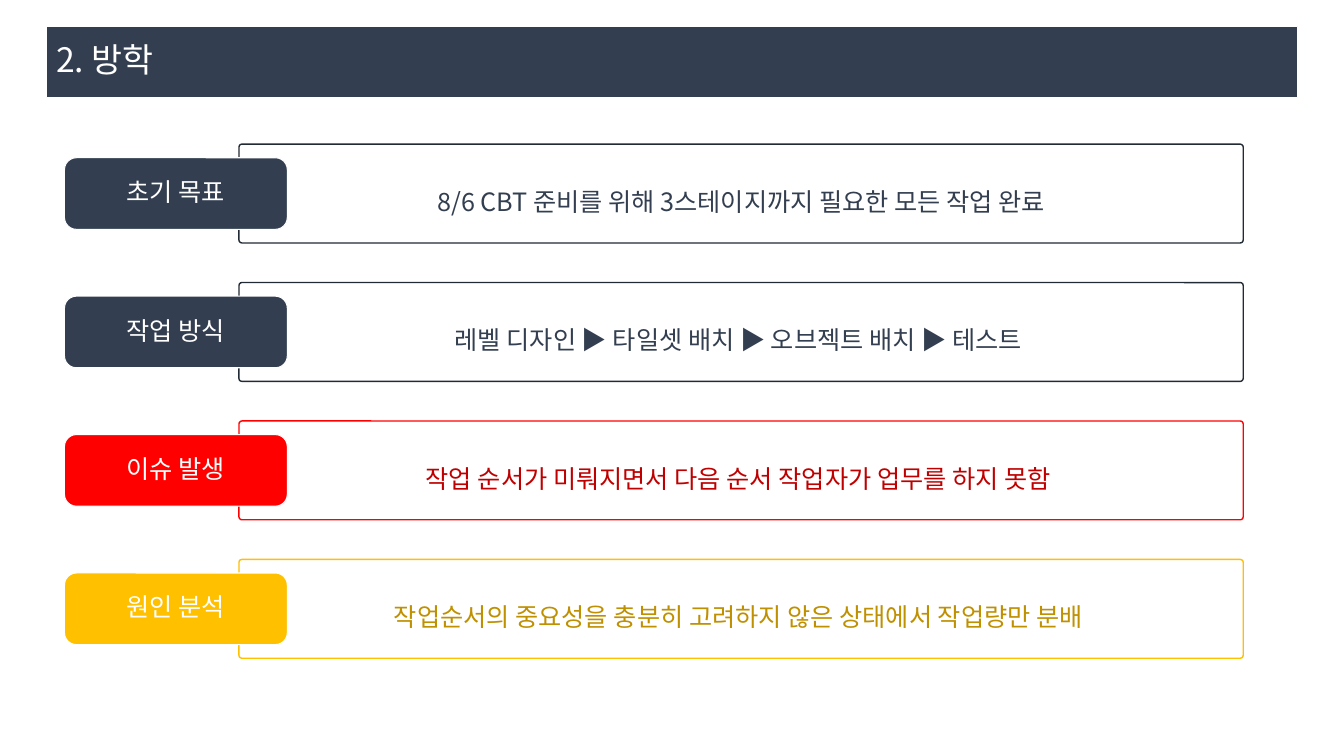
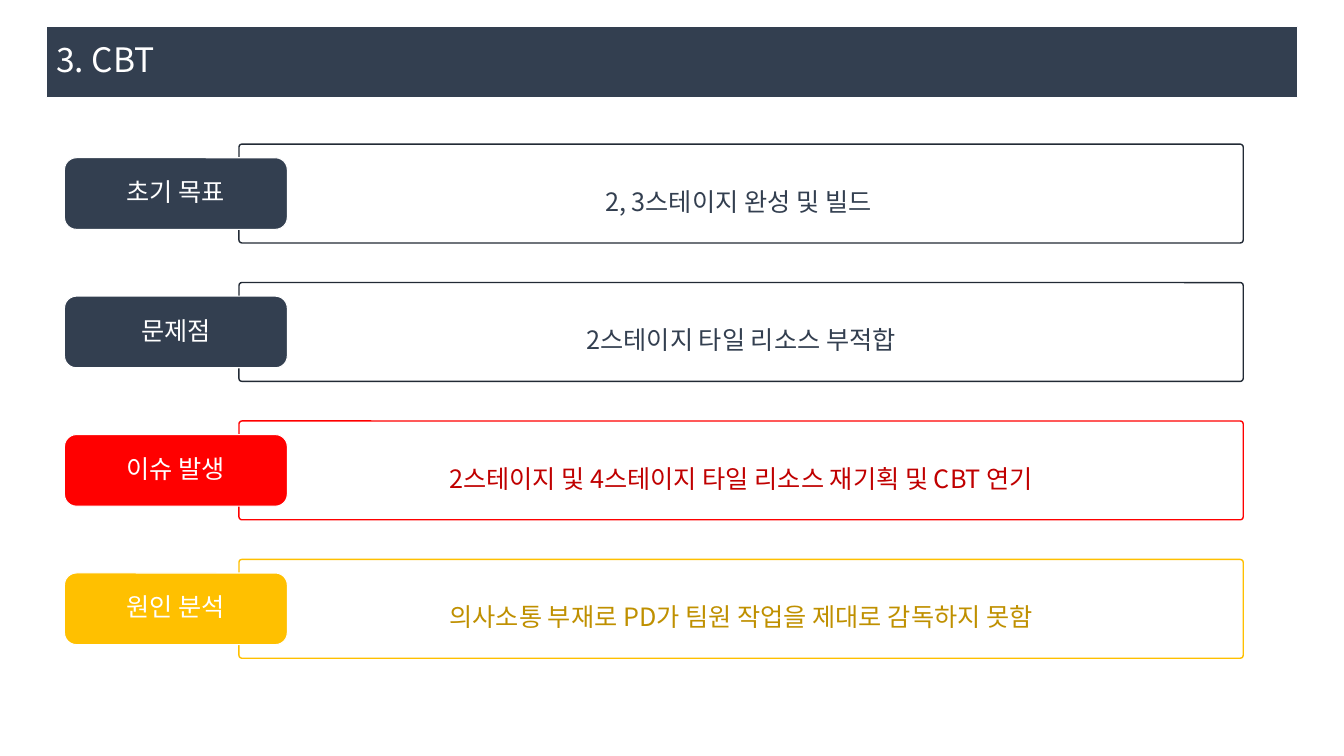
"""Build two retrospective slides of labelled rows under a title band."""
from dataclasses import dataclass

from lxml.etree import SubElement
from pptx import Presentation
from pptx.dml.color import RGBColor
from pptx.enum.shapes import MSO_SHAPE
from pptx.enum.text import MSO_ANCHOR, PP_ALIGN
from pptx.oxml.ns import qn
from pptx.util import Inches, Pt


@dataclass(frozen=True)
class Theme:
    """Colours, font and type sizes of the presentation."""
    font: str = "Noto Sans CJK KR"
    title_size: int = 24
    body_size: int = 18
    band: str = "333F50"
    white: str = "FFFFFF"


@dataclass(frozen=True)
class RowStyle:
    """Colours of one labelled row."""
    label: str
    outline: str
    text: str


THEME = Theme()
WIDTH, HEIGHT = Inches(13.33), Inches(7.5)
COLUMN, ROW = WIDTH / 100, HEIGHT / 100

BAND_AREA = (3.45, 3.47, 93.1, 9.47)
BOX_LEFT, BOX_WIDTH, BOX_HEIGHT = 17.78, 74.72, 13.07
LABEL_LEFT, LABEL_WIDTH, LABEL_HEIGHT = 4.8, 16.58, 9.47
FIRST_ROW, ROW_PITCH = 19.07, 18.31

PLAIN = RowStyle(THEME.band, "222A35", THEME.band)
ISSUE = RowStyle("FF0000", "FF0000", "C00000")
CAUSE = RowStyle("FFC000", "FFC000", "BF9000")
ROW_STYLES = (PLAIN, PLAIN, ISSUE, CAUSE)

SLIDES = (
    ("2. 방학", (
        ("초기 목표", "8/6 CBT 준비를 위해 3스테이지까지 필요한 모든 작업 완료"),
        ("작업 방식", "레벨 디자인 ▶ 타일셋 배치 ▶ 오브젝트 배치 ▶ 테스트 "),
        ("이슈 발생", "작업 순서가 미뤄지면서 다음 순서 작업자가 업무를 하지 못함 "),
        ("원인 분석", "작업순서의 중요성을 충분히 고려하지 않은 상태에서 작업량만 분배 "),
    )),
    ("3. CBT", (
        ("초기 목표", "2, 3스테이지 완성 및 빌드 "),
        ("문제점", "2스테이지 타일 리소스 부적합"),
        ("이슈 발생", "2스테이지 및 4스테이지 타일 리소스 재기획 및 CBT 연기"),
        ("원인 분석", "의사소통 부재로 PD가 팀원 작업을 제대로 감독하지 못함"),
    )),
)


def add_panel(slide, kind, area, outline, line_width, fill=None):
    """Add a shape on the 100 by 100 grid, unfilled unless a fill is given."""
    left, top, width, height = area
    shape = slide.shapes.add_shape(
        kind, round(left * COLUMN), round(top * ROW),
        round(width * COLUMN), round(height * ROW))
    shape.shadow.inherit = False
    if fill:
        shape.fill.solid()
        shape.fill.fore_color.rgb = RGBColor.from_string(fill)
    else:
        shape.fill.background()
    shape.line.color.rgb = RGBColor.from_string(outline)
    shape.line.width = Pt(line_width)
    return shape


def write_text(shape, text, *, color=THEME.white, size=THEME.body_size,
               align=PP_ALIGN.CENTER, spacing=0.9):
    """Write one vertically centred paragraph into a shape."""
    frame = shape.text_frame
    frame.word_wrap = True
    frame.vertical_anchor = MSO_ANCHOR.MIDDLE
    paragraph = frame.paragraphs[0]
    paragraph.alignment = align
    paragraph.line_spacing = spacing
    run = paragraph.add_run()
    run.text = text
    run.font.size = Pt(size)
    run.font.color.rgb = RGBColor.from_string(color)
    run.font.name = THEME.font
    SubElement(run._r.get_or_add_rPr(), qn("a:ea"), typeface=THEME.font)


def add_title_band(slide, title):
    """Add the dark band that carries the slide title."""
    band = add_panel(slide, MSO_SHAPE.RECTANGLE, BAND_AREA, THEME.white, 0.75, THEME.band)
    write_text(band, title, size=THEME.title_size, align=PP_ALIGN.LEFT)


def add_labelled_row(slide, index, label, statement, style):
    """Add an outlined statement with its label overlapping the left edge."""
    top = FIRST_ROW + index * ROW_PITCH
    box = add_panel(slide, MSO_SHAPE.ROUNDED_RECTANGLE,
                    (BOX_LEFT, top, BOX_WIDTH, BOX_HEIGHT), style.outline, 1)
    box.adjustments[0] = 0.03
    write_text(box, statement, color=style.text, spacing=1.5)
    label_top = top + (BOX_HEIGHT - LABEL_HEIGHT) / 2
    tag = add_panel(slide, MSO_SHAPE.ROUNDED_RECTANGLE,
                    (LABEL_LEFT, label_top, LABEL_WIDTH, LABEL_HEIGHT),
                    THEME.white, 0.75, style.label)
    write_text(tag, label)


def main():
    """Build and save the presentation."""
    presentation = Presentation()
    presentation.slide_width, presentation.slide_height = WIDTH, HEIGHT
    for title, rows in SLIDES:
        slide = presentation.slides.add_slide(presentation.slide_layouts[6])
        add_title_band(slide, title)
        for index, ((label, statement), style) in enumerate(zip(rows, ROW_STYLES)):
            add_labelled_row(slide, index, label, statement, style)
    presentation.save("out.pptx")


if __name__ == "__main__":
    main()
